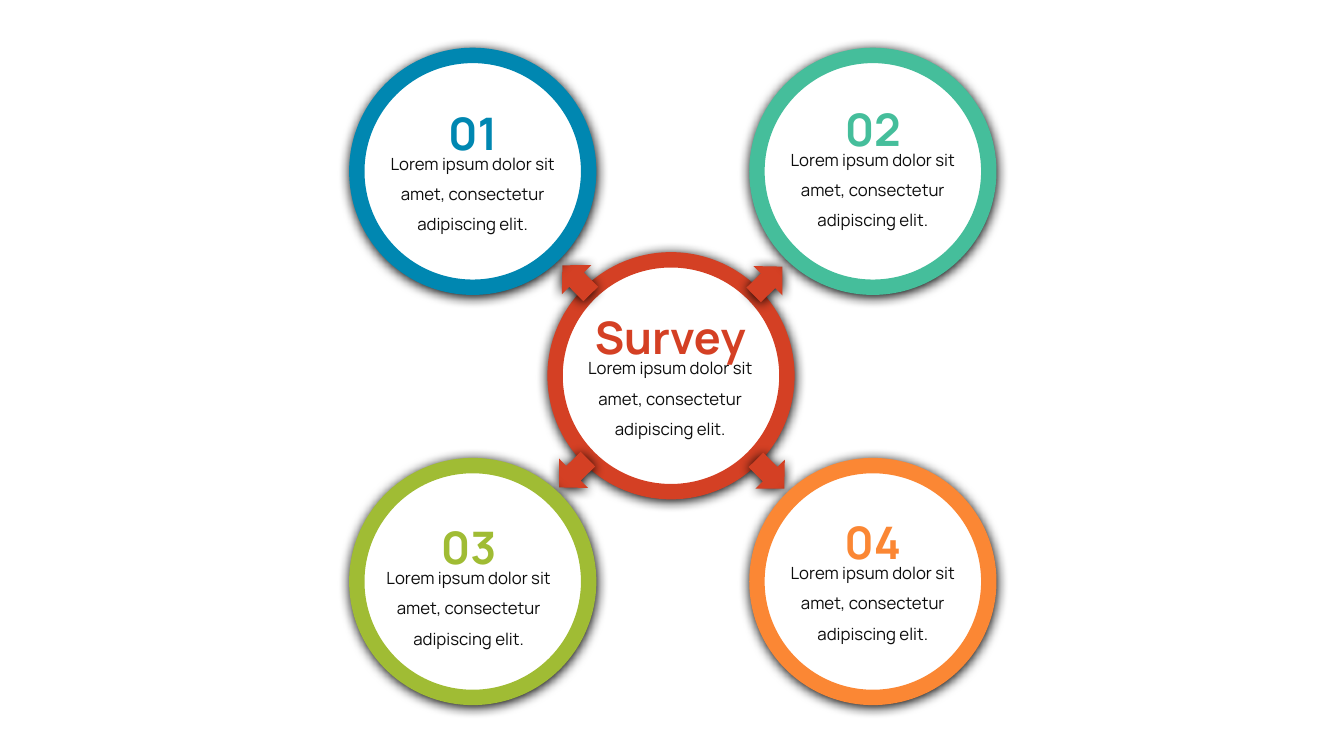
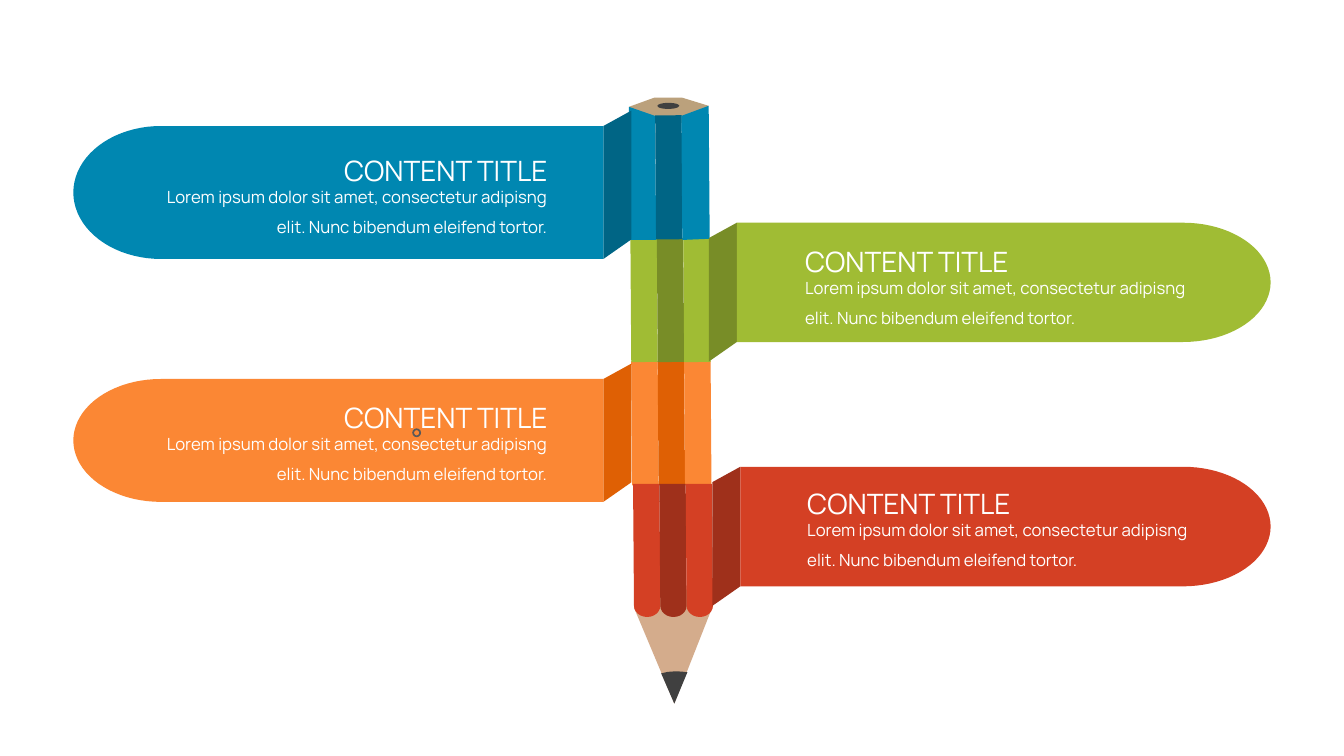
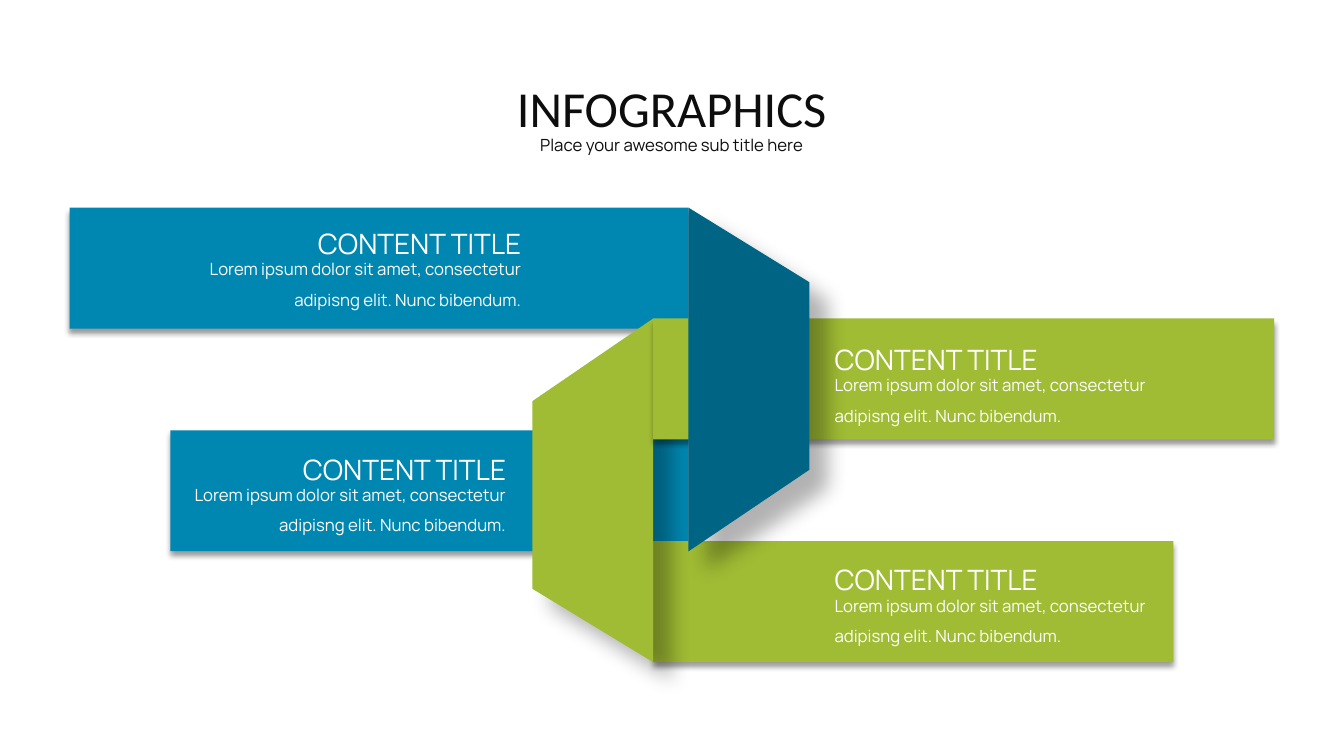
"""Build three infographic slides: a survey hub, a pencil and folded ribbons."""
from math import cos, pi, sin

from lxml.etree import SubElement
from pptx import Presentation
from pptx.dml.color import RGBColor
from pptx.enum.shapes import MSO_SHAPE as SHAPE
from pptx.enum.text import MSO_AUTO_SIZE as AUTO_SIZE, PP_ALIGN as ALIGN
from pptx.oxml.ns import qn
from pptx.util import Pt

BLUE, DARK_BLUE = "0087B1", "006585"
GREEN, DARK_GREEN = "A0BC34", "788D27"
ORANGE, DARK_ORANGE = "FB8734", "DF6004"
RED, DARK_RED = "D44024", "9F301B"
TEAL, WHITE, INK, LEAD = "45BE9B", "FFFFFF", "0D0D0D", "404040"
CAP, WOOD, GREY = "BBA17C", "D4AC8C", "595959"

RING_SHADOW = (100, 8.5, 1, 90)
RIBBON_SHADOW = (40, 4, 3, 90)
FOLD_SHADOW = (30, 15, 18, 45)
TITLE = "CONTENT TITLE"
BODY_OFFSET = 28.2

color = RGBColor.from_string


def add_shape(slide, kind, place, fill, line=None, shadow=None, rotation=0):
    """Draw a preset in a box, or a polygon through points when kind is None."""
    if kind is None:
        points = [(Pt(x), Pt(y)) for x, y in place]
        builder = slide.shapes.build_freeform(*points[0])
        builder.add_line_segments(points[1:])
        shape = builder.convert_to_shape()
    else:
        shape = slide.shapes.add_shape(kind, *[Pt(length) for length in place])
    shape.rotation = rotation
    shape.fill.solid()
    shape.fill.fore_color.rgb = color(fill)
    if line:
        shape.line.color.rgb = color(line)
        shape.line.width = Pt(11)
    else:
        shape.line.fill.background()
    shape.shadow.inherit = False
    if shadow:
        opacity, blur, distance, angle = shadow
        effects = shape._element.spPr.find(qn("a:effectLst"))
        outer = SubElement(effects, qn("a:outerShdw"), blurRad=str(Pt(blur)), dist=str(Pt(distance)),
                           dir=str(angle * 60000), algn="ctr", rotWithShape="0")
        black = SubElement(outer, qn("a:srgbClr"), val="000000")
        SubElement(black, qn("a:alpha"), val=str(opacity * 1000))
    return shape


def add_text(slide, text, left, top, width, height, size=12, fill=INK, align=ALIGN.LEFT,
             font="Manrope", bold=False):
    """Add a one-paragraph text box."""
    frame = slide.shapes.add_textbox(Pt(left), Pt(top), Pt(width), Pt(height)).text_frame
    frame.word_wrap = True
    frame.auto_size = AUTO_SIZE.SHAPE_TO_FIT_TEXT
    paragraph = frame.paragraphs[0]
    paragraph.alignment = align
    paragraph.line_spacing = 1.5
    run = paragraph.add_run()
    run.text = text
    run.font.name = font
    run.font.size = Pt(size)
    run.font.bold = bold
    run.font.color.rgb = color(fill)


presentation = Presentation()
presentation.slide_width, presentation.slide_height = Pt(960), Pt(540)
blank = presentation.slide_layouts[6]

slide = presentation.slides.add_slide(blank)
RING = 165.6
rings = [
    ("Survey", RED, 396.5, 185.6, 396, 198.7),
    ("04", ORANGE, 540.7, 332.6, 540.7, 344.9),
    ("03", GREEN, 254.9, 332.6, 252, 348.5),
    ("02", TEAL, 540.7, 39.6, 540.7, 49.7),
    ("01", BLUE, 254.9, 39.6, 254.9, 52.6),
]
arrows = [(534.2, 185.8, 315.4), (397.4, 185, 225.4), (535.7, 324, 45.4), (395.3, 323.3, 135.4)]
for label, accent, left, top, text_left, text_top in rings:
    add_shape(slide, SHAPE.OVAL, (left, top, RING, RING), WHITE, line=accent, shadow=RING_SHADOW)
    if label == "Survey":
        for arrow_left, arrow_top, angle in arrows:
            add_shape(slide, SHAPE.RIGHT_ARROW, (arrow_left, arrow_top, 28.8, 29.5), accent,
                      shadow=RING_SHADOW, rotation=angle)
    add_text(slide, "Lorem ipsum dolor sit amet, consectetur adipiscing elit.",
             text_left, text_top + 46.4, RING, 72.7, align=ALIGN.CENTER)
    add_text(slide, label, text_left, text_top, RING, 58.3, size=32, fill=accent,
             align=ALIGN.CENTER, bold=True)

slide = presentation.slides.add_slide(blank)
LEAN = -0.4
STRIP_WIDTH, STRIP_HEIGHT = 18.9, 88.6
for left, top, light, dark in [(451.2, 258, ORANGE, DARK_ORANGE), (450.6, 170, GREEN, DARK_GREEN)]:
    for column, fill in enumerate((light, dark, light)):
        add_shape(slide, SHAPE.RECTANGLE, (left + 18.9 * column, top, STRIP_WIDTH, STRIP_HEIGHT), fill,
                  rotation=LEAN)

add_shape(slide, None, [(463.7, 87.8), (449.3, 76.3), (467.3, 69.8), (487.4, 69.8), (506.2, 75.6),
                        (491.8, 87.8)], CAP)
add_shape(slide, None, [(468, 82.8), (449.3, 76.3), (450, 171.4), (468.7, 171.4)], BLUE)
add_shape(slide, SHAPE.RECTANGLE, (468.3, 82.4, STRIP_WIDTH, STRIP_HEIGHT), DARK_BLUE, rotation=LEAN)
add_shape(slide, None, [(506.2, 75.6), (486.7, 82.8), (487.4, 171.4), (506.9, 170.6)], BLUE)
add_shape(slide, SHAPE.OVAL, (469.5, 73.5, 15.8, 4.3), LEAD, rotation=LEAN)
add_shape(slide, None, [(509, 433.4), (481.7, 502.6), (452.9, 434.2), (452.9, 421.2), (509, 421.2)], WOOD)
for column, fill in enumerate((RED, DARK_RED, RED)):
    left = 452.2 + 18.8 * column
    scallop = [(left + 10.1 - 9.4 * cos(pi * step / 12), 432.7 + 8 * sin(pi * step / 12))
               for step in range(13)]
    add_shape(slide, None, [(left, 345.6), *scallop, (left + 18.8, 345.6)], fill)
add_shape(slide, None, [(472.3, 481), (477, 479.9), (482.4, 479.5), (487, 479.7), (491, 480.2),
                        (481.7, 502.6)], LEAD)

banners = [
    (1, 526.3, 159.1, 85.2, GREEN, DARK_GREEN, 568, 159.1),
    (1, 528.8, 333.4, 85.4, RED, DARK_RED, 569.5, 332),
    (-1, 431, 90, 95, BLUE, DARK_BLUE, 101.5, 94.3),
    (-1, 431, 270.7, 87.8, ORANGE, DARK_ORANGE, 101.5, 270.7),
]
for side, edge, top, height, light, dark, text_left, text_top in banners:
    bottom, radius = top + height, height / 2
    bend = 480 + side * 365
    inner = edge - 20 * side
    round_end = [(bend + side * 62.6 * sin(pi * step / 40), top + radius - radius * cos(pi * step / 40))
                 for step in range(41)]
    add_shape(slide, None, [(inner, top + 11 * side), (edge, top), (edge, bottom),
                            (inner, bottom + 14 * side)], dark)
    add_shape(slide, None, [(edge, top), *round_end, (edge, bottom)], light)
    if light == ORANGE:
        ring = add_shape(slide, SHAPE.DONUT, (294.5, 306, 6.3, 6.3), GREY)
        ring.adjustments[0] = 0.2
    align = ALIGN.LEFT if side > 0 else ALIGN.RIGHT
    add_text(slide, "Lorem ipsum dolor sit amet, consectetur adipisng elit. Nunc bibendum eleifend tortor.",
             text_left, text_top + BODY_OFFSET, 296.6, 48.2, fill=WHITE, align=align)
    add_text(slide, TITLE, text_left, text_top, 296.6, 39.6, size=20, fill=WHITE, align=align)

slide = presentation.slides.add_slide(blank)
RECTANGLE = SHAPE.RECTANGLE
ribbons = [
    (RECTANGLE, (121.7, 307.4, 370.1, 86.4), BLUE, RIBBON_SHADOW),
    (RECTANGLE, (49.7, 148.3, 442.1, 86.4), BLUE, RIBBON_SHADOW),
    (RECTANGLE, (466.6, 386.6, 371.5, 86.4), GREEN, RIBBON_SHADOW),
    (None, [(380.2, 420.5), (380.2, 286.6), (466.6, 227.5), (466.6, 473)], GREEN, FOLD_SHADOW),
    (RECTANGLE, (466.6, 227.5, 443.5, 86.4), GREEN, RIBBON_SHADOW),
    (None, [(578.2, 201.6), (578.2, 335.5), (491.8, 393.8), (491.8, 148.3)], DARK_BLUE, FOLD_SHADOW),
]
for kind, place, fill, shadow in ribbons:
    add_shape(slide, kind, place, fill, shadow=shadow)

add_text(slide, "Place your awesome sub title here", 44.6, 85.7, 870.5, 22.3, align=ALIGN.CENTER)
add_text(slide, "INFOGRAPHICS", 44.6, 30.2, 870.5, 66.2, size=36, align=ALIGN.CENTER, font="Calibri")
for left, top, align in [(122.4, 307.4, ALIGN.RIGHT), (589, 386.6, ALIGN.LEFT),
                         (133.2, 146.2, ALIGN.RIGHT), (589, 229, ALIGN.LEFT)]:
    add_text(slide, "Lorem ipsum dolor sit amet, consectetur adipisng elit. Nunc bibendum.",
             left, top + BODY_OFFSET, 246.2, 48.2, fill=WHITE, align=align)
    add_text(slide, TITLE, left, top, 246.2, 39.6, size=20, fill=WHITE, align=align)

presentation.save("out.pptx")
